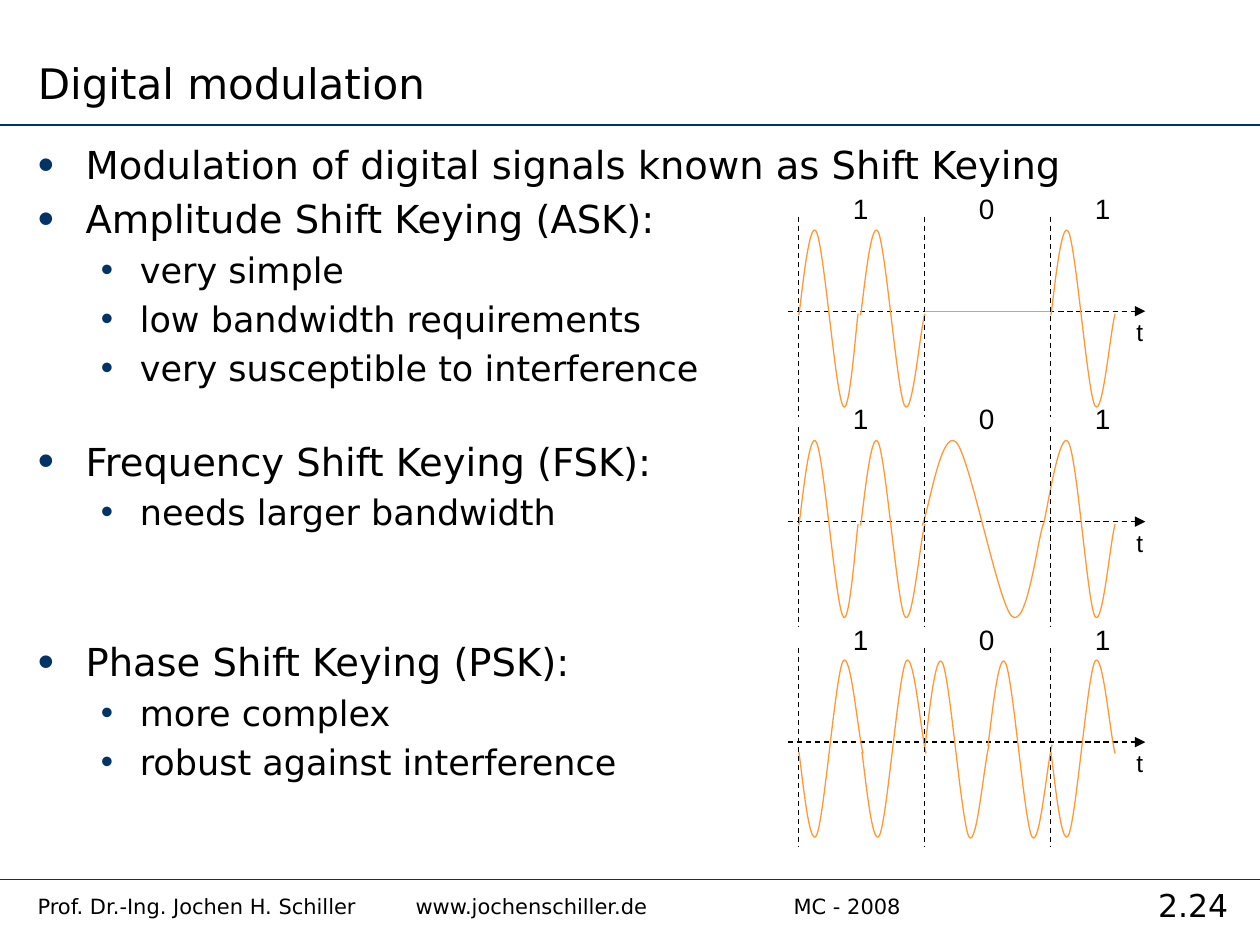
from collections import namedtuple

from lxml import etree
from pptx import Presentation
from pptx.dml.color import RGBColor
from pptx.enum.dml import MSO_LINE
from pptx.enum.shapes import MSO_CONNECTOR
from pptx.enum.text import MSO_ANCHOR, MSO_AUTO_SIZE, PP_ALIGN
from pptx.oxml.ns import qn
from pptx.util import Inches, Pt

Box = namedtuple("Box", "left top width height")
Wave = namedtuple("Wave", "start timing flipped", defaults=[False])

BLACK, NAVY, ORANGE = "000000", "003366", "FF9933"
SANS, ARIAL = "DejaVu Sans", "Arial"

# One period is three Bezier curves: inches below the axis for each point,
# and inches from the start of the wave for each kind of period
DROPS = [0.03, -0.08, -0.75, -0.63, -0.51, 0.64, 0.75, 0.86, 0.17, 0.02]
FLIP_OFFSET = 0.11
FULL = [0, 0.02, 0.08, 0.14, 0.2, 0.29, 0.35, 0.41, 0.47, 0.51]
SHORT = [0, 0.02, 0.08, 0.14, 0.2, 0.29, 0.35, 0.4, 0.45, 0.47]
SLOW = [0, 0.05, 0.15, 0.27, 0.38, 0.6, 0.71, 0.83, 0.91, 0.96]
LATE = [0, 0.03, 0.13, 0.2, 0.27, 0.35, 0.41, 0.47, 0.53, 0.57]

# Waves are measured from the first bit boundary
ASK = [Wave(2, FULL), Wave(0, SHORT), Wave(0.49, FULL)]
FSK = [Wave(0, SHORT), Wave(0.49, FULL), Wave(0.98, SLOW), Wave(1.94, LATE)]
PSK = [Wave(1, FULL), Wave(1.5, FULL), Wave(0, FULL, True),
       Wave(0.5, FULL, True), Wave(2, FULL, True)]

# Text, level, points before the paragraph
POINTS = [
    ("Modulation of digital signals known as Shift Keying", 0, 4.4),
    ("Amplitude Shift Keying (ASK):", 0, 4.4),
    ("very simple", 1, 4),
    ("low bandwidth requirements", 1, 4),
    ("very susceptible to interference", 1, 4),
    ("Frequency Shift Keying (FSK):", 0, 28.2),
    ("needs larger bandwidth", 1, 4),
    ("Phase Shift Keying (PSK):", 0, 60.2),
    ("more complex", 1, 4),
    ("robust against interference", 1, 4),
]


def colour(value):
    return RGBColor.from_string(value)


def write(para, text, size=12, font=SANS, color=BLACK, align=PP_ALIGN.LEFT):
    para.alignment = align
    para._p.get_or_add_pPr().set("defTabSz", str(Inches(1)))
    span = para.add_run()
    span.text = text
    span.font.size = Pt(size)
    span.font.name = font
    span.font.color.rgb = colour(color)


def place(shape, box):
    shape.left, shape.top, shape.width, shape.height = map(Inches, box)


def add_text(page, box, text, wrap=True, **style):
    shape = page.shapes.add_textbox(*map(Inches, box))
    shape.text_frame.word_wrap = wrap
    write(shape.text_frame.paragraphs[0], text, **style)


def add_line(page, start, end, color, width=0.75, dashed=False, arrow=False):
    line = page.shapes.add_connector(
        MSO_CONNECTOR.STRAIGHT, *map(Inches, start + end))
    line.line.color.rgb = colour(color)
    line.line.width = Pt(width)
    if dashed:
        line.line.dash_style = MSO_LINE.DASH
    if arrow:
        etree.SubElement(line.line._get_or_add_ln(), qn("a:tailEnd"),
                         type="triangle")
    etree.SubElement(line._element.spPr, qn("a:effectLst"))


def add_bullet(para, level):
    props = para._p.get_or_add_pPr()
    margin, indent = [(0.38, -0.38), (0.81, -0.31)][level]
    props.set("marL", str(Inches(margin)))
    props.set("indent", str(Inches(indent)))
    bullet_color = etree.SubElement(props, qn("a:buClr"))
    etree.SubElement(bullet_color, qn("a:srgbClr"), val=NAVY)
    etree.SubElement(props, qn("a:buSzPct"), val=["120000", "100000"][level])
    etree.SubElement(props, qn("a:buChar"), char="•")


def fill_title(page, box):
    title = page.shapes.title
    place(title, box)
    frame = title.text_frame
    frame.auto_size = MSO_AUTO_SIZE.NONE
    frame.vertical_anchor = MSO_ANCHOR.BOTTOM
    write(frame.paragraphs[0], "Digital modulation", size=24)


def fill_body(page, box):
    body = page.placeholders[1]
    place(body, box)
    frame = body.text_frame
    frame.auto_size = MSO_AUTO_SIZE.NONE
    frame.vertical_anchor = MSO_ANCHOR.TOP
    for index, (text, level, before) in enumerate(POINTS):
        para = frame.add_paragraph() if index else frame.paragraphs[0]
        para.level = level
        para.space_before = Pt(before)
        add_bullet(para, level)
        write(para, text, size=[22, 20][level])


def add_footer(page, box):
    add_line(page, (box.left, box.top), (box.left + box.width, box.top),
             NAVY, width=1)
    add_text(page, Box(box.left + 8.94, box.top, 1.06, 0.4), "2.24",
             size=18, align=PP_ALIGN.CENTER)
    add_text(page, Box(box.left + 0.2, box.top + 0.06, 8.74, 0.33),
             "Prof. Dr.-Ing. Jochen H. Schiller\twww.jochenschiller.de"
             "\t\tMC - 2008")


def bend(shape):
    """Turn each three line segments of a freeform into one Bezier curve."""
    segments = list(shape._element.iter(qn("a:lnTo")))
    for first in range(0, len(segments), 3):
        curve = etree.Element(qn("a:cubicBezTo"))
        segments[first].addprevious(curve)
        for segment in segments[first:first + 3]:
            curve.append(segment[0])
            segment.getparent().remove(segment)


def add_wave(page, left, axis, wave):
    start, *rest = [
        (Inches(left + wave.start + time),
         Inches(axis + (FLIP_OFFSET - drop if wave.flipped else drop)))
        for time, drop in zip(wave.timing, DROPS)]
    builder = page.shapes.build_freeform(*start)
    builder.add_line_segments(rest, close=False)
    curve = builder.convert_to_shape()
    bend(curve)
    curve.shadow.inherit = False
    curve.fill.background()
    curve.line.color.rgb = colour(ORANGE)
    curve.line.width = Pt(0.75)


def add_signal(page, box, waves, flat_zero=False):
    first_bit = box.left + 0.09
    axis = box.top + 1
    # Time axis
    add_line(page, (box.left, axis), (box.left + box.width, axis), BLACK,
             dashed=True, arrow=True)
    # Signal
    if flat_zero:
        add_line(page, (first_bit + 1, axis), (first_bit + 2, axis), ORANGE)
    for wave in waves:
        add_wave(page, first_bit, axis, wave)
    # Bit boundaries
    for bit in range(3):
        add_line(page, (first_bit + bit, box.top + 0.25),
                 (first_bit + bit, box.top + box.height), BLACK, dashed=True)
    # Bit values and axis name
    for offset, value in [(0.42, "1"), (1.42, "0"), (2.34, "1")]:
        add_text(page, Box(box.left + offset, box.top, 0.32, 0.37), value,
                 wrap=False, size=16, font=ARIAL)
    add_text(page, Box(box.left + 2.67, axis, 0.26, 0.33), "t",
             wrap=False, size=14, font=ARIAL)


def main():
    deck = Presentation()
    deck.slide_width, deck.slide_height = Inches(10), Inches(7.5)
    page = deck.slides.add_slide(deck.slide_layouts[1])
    add_line(page, (0, 0.99), (10, 0.99), NAVY, width=1)
    add_footer(page, Box(0, 6.98, 10, 0.52))
    fill_title(page, Box(0.2, 0, 6.61, 0.91))
    fill_body(page, Box(0.2, 1.07, 9.61, 5.85))
    add_signal(page, Box(6.25, 1.47, 2.84, 1.84), ASK, flat_zero=True)
    add_signal(page, Box(6.25, 3.14, 2.84, 1.83), FSK)
    add_signal(page, Box(6.25, 4.89, 2.84, 1.83), PSK)
    deck.save("out.pptx")


if __name__ == "__main__":
    main()
